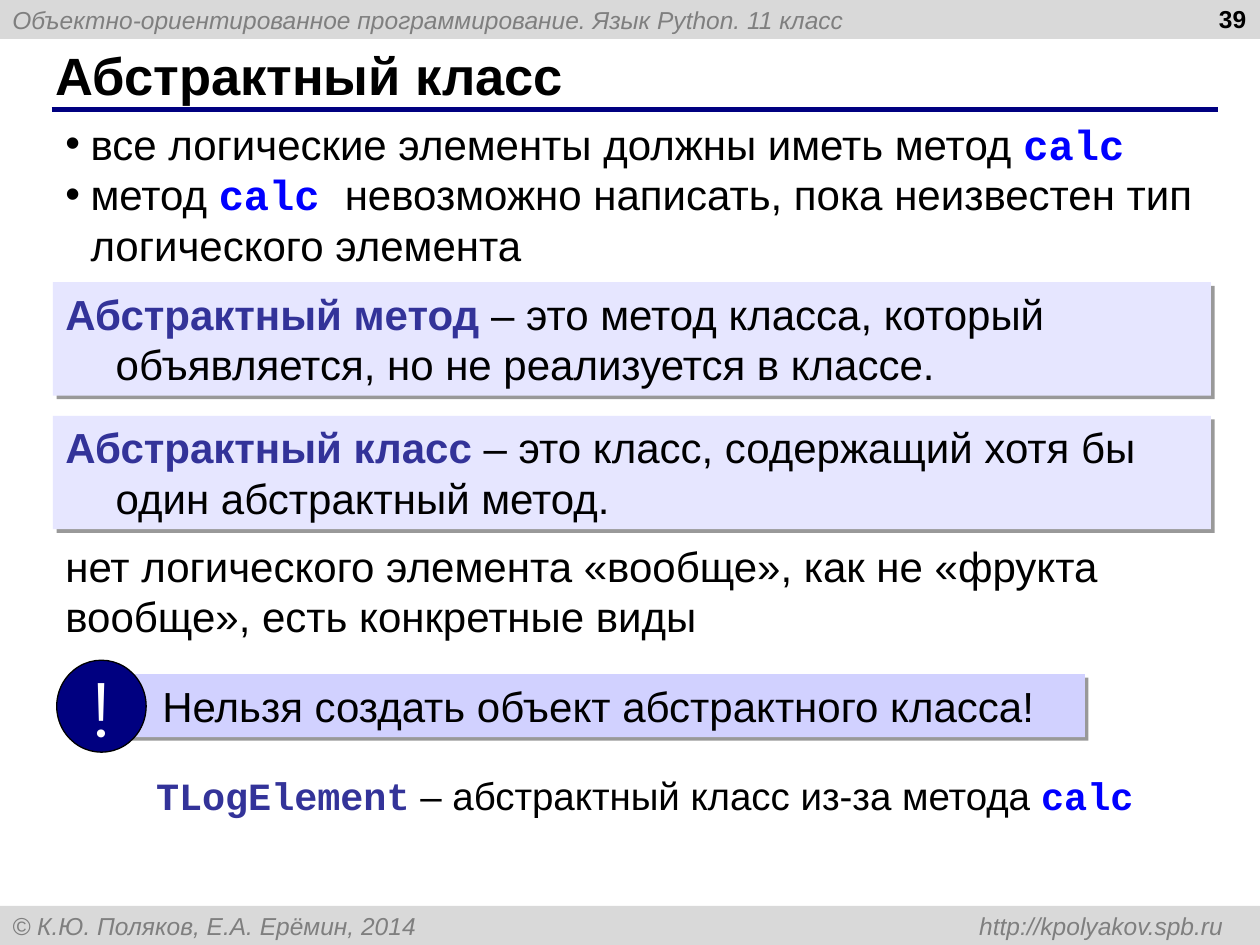
from dataclasses import dataclass

from lxml.etree import SubElement
from pptx import Presentation
from pptx.dml.color import RGBColor
from pptx.enum.shapes import MSO_CONNECTOR as Connector, MSO_SHAPE as Shape
from pptx.enum.text import MSO_ANCHOR as Anchor, PP_ALIGN as Align
from pptx.oxml.ns import qn
from pptx.util import Inches, Pt


@dataclass(frozen=True)
class Theme:
    sans: str = "Arial"
    mono: str = "Courier New"
    badge_font: str = "Montserrat"
    black: str = "000000"
    white: str = "FFFFFF"
    navy: str = "000080"
    term: str = "333399"
    code: str = "0000FF"
    muted: str = "7F7F7F"
    bar: str = "D9D9D9"
    definition: str = "E6E6FF"
    warning: str = "D1D1FF"
    small: int = 14
    note: int = 22
    body: int = 24
    title: int = 30
    badge: int = 44


THEME = Theme()


@dataclass(frozen=True)
class Span:
    text: str
    color: str = THEME.black
    font: str = THEME.sans
    bold: bool = False
    italic: bool = False


def term(text, font=THEME.sans):
    return Span(text, THEME.term, font, bold=True)


def code(text):
    return Span(text, THEME.code, THEME.mono, bold=True)


def rgb(value):
    return RGBColor.from_string(value)


def place(left, top, width, height):
    return [Inches(value) for value in (left, top, width, height)]


def set_indent(para, left, first):
    props = para._p.get_or_add_pPr()
    props.set("marL", str(Inches(left)))
    props.set("indent", str(Inches(first)))
    return props


def add_bullet(para):
    props = set_indent(para, 0.2, -0.2)
    SubElement(SubElement(props, qn("a:buClr")), qn("a:srgbClr"), val=THEME.black)
    SubElement(props, qn("a:buFont"), typeface=THEME.sans)
    SubElement(props, qn("a:buChar"), char="•")


def add_right_tab(para, position):
    tabs = SubElement(para._p.get_or_add_pPr(), qn("a:tabLst"))
    SubElement(tabs, qn("a:tab"), pos=str(Inches(position)), algn="r")


def write(box, paragraphs, size, align=Align.LEFT, anchor=Anchor.TOP, wrap=True):
    """Fill a shape with paragraphs, each a list of spans."""
    frame = box.text_frame
    frame.word_wrap = wrap
    frame.vertical_anchor = anchor
    for index, spans in enumerate(paragraphs):
        para = frame.add_paragraph() if index else frame.paragraphs[0]
        para.alignment = align
        for span in spans:
            run = para.add_run()
            run.text = span.text
            font = run.font
            font.name, font.size = span.font, Pt(size)
            font.bold, font.italic = span.bold, span.italic
            font.color.rgb = rgb(span.color)
    return frame.paragraphs


def add_text(page, area, paragraphs, size, **options):
    box = page.shapes.add_textbox(*place(*area))
    return write(box, paragraphs, size, **options)


def add_filled(shapes, kind, area, fill):
    box = shapes.add_shape(kind, *place(*area))
    box.shadow.inherit = False
    box.fill.solid()
    box.fill.fore_color.rgb = rgb(fill)
    box.line.fill.background()
    return box


def add_hard_shadow(box):
    effects = box._element.spPr.find(qn("a:effectLst"))
    shadow = SubElement(effects, qn("a:outerShdw"), blurRad="0", dist=str(Pt(3)),
                        dir=str(45 * 60000), algn="ctr", rotWithShape="0")
    color = SubElement(shadow, qn("a:srgbClr"), val=THEME.black)
    SubElement(color, qn("a:alpha"), val="40000")


def add_bar(page, top, text):
    bar = add_filled(page.shapes, Shape.RECTANGLE, (0, top, 10, 0.31), THEME.bar)
    spans = [Span(text, THEME.muted, italic=True)]
    return write(bar, [spans], THEME.small, anchor=Anchor.MIDDLE)[0]


def add_title_rule(page):
    rule = page.shapes.add_connector(Connector.STRAIGHT, Inches(0.41), Inches(0.87),
                                     Inches(9.67), Inches(0.87))
    rule.line.color.rgb = rgb(THEME.navy)
    rule.line.width = Pt(3)
    SubElement(rule._element.spPr, qn("a:effectLst"))


def add_definition(page, top, name, meaning):
    box = add_filled(page.shapes, Shape.RECTANGLE, (0.42, top, 9.19, 0.9), THEME.definition)
    add_hard_shadow(box)
    para = write(box, [[term(name), Span(meaning)]], THEME.body)[0]
    set_indent(para, 0.4, -0.4)


def add_warning(page, text):
    """A shaded strip with a round exclamation badge at its left end."""
    shapes = page.shapes.add_group_shape().shapes
    strip = add_filled(shapes, Shape.RECTANGLE, (1, 5.35, 7.61, 0.5), THEME.warning)
    add_hard_shadow(strip)
    para = write(strip, [[Span(text)]], THEME.body)[0]
    set_indent(para, 0.19, 0)
    badge = add_filled(shapes, Shape.OVAL, (0.45, 5.24, 0.71, 0.73), THEME.navy)
    badge.line.color.rgb = rgb(THEME.black)
    badge.line.width = Pt(0.75)
    write(badge, [[Span("!", THEME.white, THEME.badge_font)]], THEME.badge,
          align=Align.CENTER, anchor=Anchor.MIDDLE, wrap=False)


def main():
    deck = Presentation()
    deck.slide_width, deck.slide_height = Inches(10), Inches(7.5)
    page = deck.slides.add_slide(deck.slide_layouts[6])

    add_bar(page, 0, "Объектно-ориентированное программирование. Язык Python. 11 класс")
    footer = add_bar(page, 7.19, "© К.Ю. Поляков, Е.А. Ерёмин, 2014\thttp://kpolyakov.spb.ru")
    add_right_tab(footer, 9.61)
    add_title_rule(page)
    add_text(page, (0.34, 0.33, 9.16, 0.52), [[Span("Абстрактный класс", bold=True)]],
             THEME.title, anchor=Anchor.MIDDLE)
    add_text(page, (7.66, -0.02, 2.33, 0.52), [[Span("39", bold=True)]],
             THEME.small, align=Align.RIGHT)

    add_definition(page, 2.24, "Абстрактный метод ",
                   "– это метод класса, который объявляется, но не реализуется в классе.")
    add_definition(page, 3.3, "Абстрактный класс ",
                   "– это класс, содержащий хотя бы один абстрактный метод.")
    requirements = [
        [Span("все логические элементы должны иметь метод "), code("calc")],
        [Span("метод "), code("calc "),
         Span("невозможно написать, пока неизвестен тип логического элемента")],
    ]
    for para in add_text(page, (0.42, 0.89, 9.18, 1.3), requirements, THEME.body):
        add_bullet(para)
    add_text(page, (0.42, 4.24, 9.18, 0.9),
             [[Span("нет логического элемента «вообще», как не «фрукта вообще», "
                    "есть конкретные виды")]], THEME.body)
    add_warning(page, "Нельзя создать объект абстрактного класса!")
    add_text(page, (1.14, 6.08, 7.97, 0.47),
             [[term("TLogElement", THEME.mono),
               Span(" – абстрактный класс из-за метода "), code("calc")]],
             THEME.note, wrap=False)

    deck.save("out.pptx")


if __name__ == "__main__":
    main()
